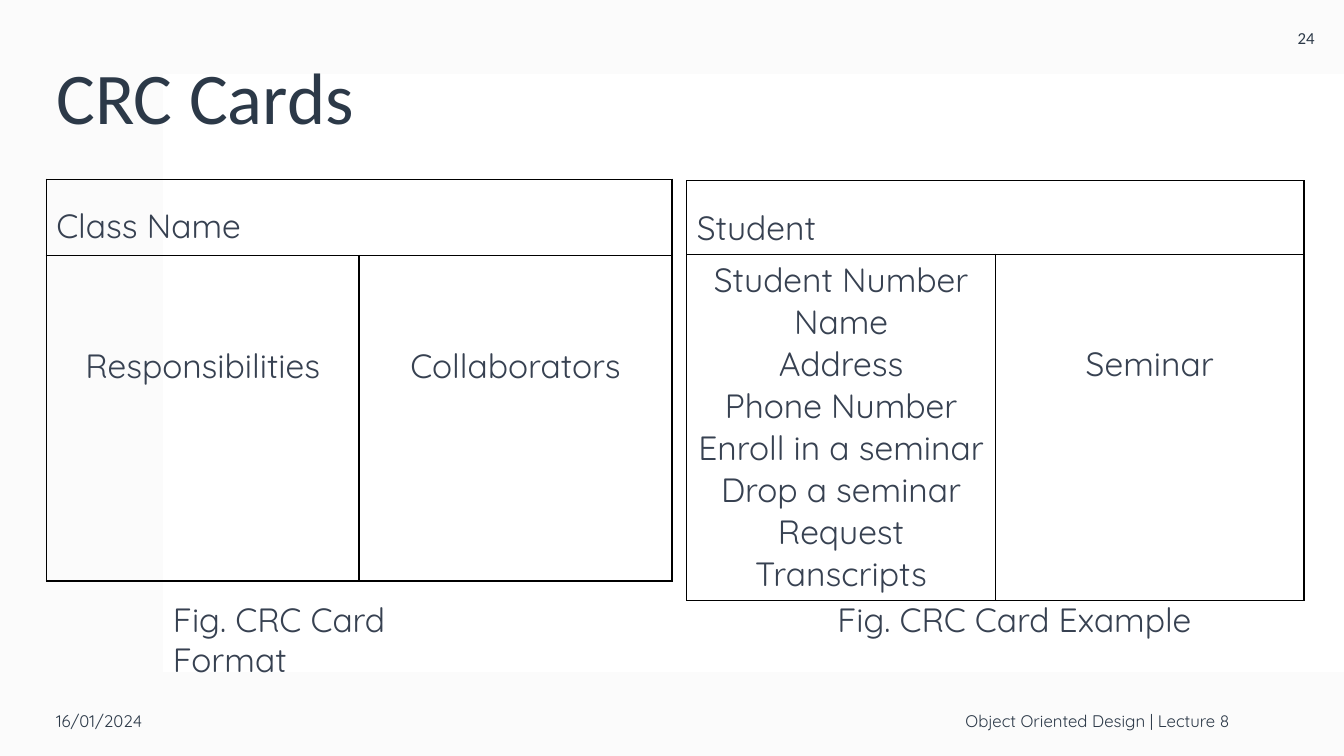
from dataclasses import dataclass

from lxml.etree import SubElement
from pptx import Presentation
from pptx.dml.color import RGBColor as RGB
from pptx.enum.shapes import MSO_SHAPE as SHAPE
from pptx.enum.text import MSO_ANCHOR as ANCHOR, MSO_AUTO_SIZE as AUTO, PP_ALIGN as ALIGN
from pptx.oxml import parse_xml
from pptx.oxml.ns import nsdecls, qn
from pptx.util import Pt


@dataclass(frozen=True)
class Theme:
    ink: RGB = RGB.from_string("2C3948")
    text: RGB = RGB.from_string("374151")
    frame: RGB = RGB.from_string("F4F4F4")
    paper: RGB = RGB.from_string("FFFFFF")
    border: str = "000000"
    heading_font: str = "Calibri"
    body_font: str = "Quicksand"
    title_size: int = 52
    body_size: int = 24
    small_size: int = 12


class SlideBuilder:
    def __init__(self, slide, theme):
        self.s = slide
        self.theme = theme

    def run(self, p, text, size, font, color):
        r = p.add_run()
        r.text = text
        r.font.size = Pt(size)
        r.font.name = font
        r.font.color.rgb = color

    def body_run(self, p, text):
        t = self.theme
        self.run(p, text, t.body_size, t.body_font, t.text)

    def panel(self, x, y, w, h, color, opacity=100):
        sp = self.s.shapes.add_shape(SHAPE.RECTANGLE, Pt(x), Pt(y), Pt(w), Pt(h))
        sp.shadow.inherit = False
        sp.line.fill.background()
        sp.fill.solid()
        sp.fill.fore_color.rgb = color
        if opacity < 100:
            rgb = sp.fill._xPr.find(".//" + qn("a:srgbClr"))
            SubElement(rgb, qn("a:alpha")).set("val", str(opacity * 1000))

    def title(self, text, x, y, w, h):
        t = self.theme
        sp = self.s.shapes.title
        self.s.shapes._spTree.append(sp._element)  # bring in front of the panels
        sp.left, sp.top, sp.width, sp.height = Pt(x), Pt(y), Pt(w), Pt(h)
        tf = sp.text_frame
        tf.auto_size = AUTO.NONE
        tf.vertical_anchor = ANCHOR.MIDDLE
        p = tf.paragraphs[0]
        p.alignment = ALIGN.LEFT
        p.line_spacing = 0.9
        self.run(p, text, t.title_size, t.heading_font, t.ink)

    def text_box(self, x, y, w, h, anchor, align):
        """Add an empty text box and return its first paragraph."""
        tf = self.s.shapes.add_textbox(Pt(x), Pt(y), Pt(w), Pt(h)).text_frame
        tf.word_wrap = True
        tf.vertical_anchor = anchor
        p = tf.paragraphs[0]
        p.alignment = align
        return p

    def small_text(self, text, x, y, w, h, align, font):
        p = self.text_box(x, y, w, h, ANCHOR.MIDDLE, align)
        self.run(p, text, self.theme.small_size, font, self.theme.ink)

    def caption(self, text, x, y, w):
        self.body_run(self.text_box(x, y, w, 36, ANCHOR.TOP, ALIGN.LEFT), text)

    def border(self, cell):
        """Clear the cell's fill and rule all four sides."""
        cell.fill.background()
        tc_pr = cell._tc.get_or_add_tcPr()
        for i, side in enumerate("LRTB"):
            tc_pr.insert(i, parse_xml(
                f'<a:ln{side} {nsdecls("a")} w="12700"><a:solidFill>'
                f'<a:srgbClr val="{self.theme.border}"/></a:solidFill></a:ln{side}>'))

    def crc_card(self, name, columns, x, y, w, row_heights):
        """Columns are (top margin, paragraphs); each paragraph is a list of lines."""
        frame = self.s.shapes.add_table(2, 2, Pt(x), Pt(y), Pt(w), Pt(sum(row_heights)))
        table = frame.table
        table.first_row = table.horz_banding = False
        for row, height in zip(table.rows, row_heights):
            row.height = Pt(height)
        for cell in table.iter_cells():
            self.border(cell)

        header = table.cell(0, 0)
        header.merge(table.cell(0, 1))
        p = header.text_frame.paragraphs[0]
        p.line_spacing = 1.5
        self.body_run(p, name)

        for col, (margin_top, paragraphs) in enumerate(columns):
            cell = table.cell(1, col)
            cell.margin_top = Pt(margin_top)
            tf = cell.text_frame
            for i, lines in enumerate(paragraphs):
                p = tf.add_paragraph() if i else tf.paragraphs[0]
                p.alignment = ALIGN.CENTER
                for j, line in enumerate(lines):
                    if j:
                        p.add_line_break()
                    self.body_run(p, line)


def main():
    theme = Theme()
    prs = Presentation()
    prs.slide_width, prs.slide_height = Pt(960), Pt(540)
    b = SlideBuilder(prs.slides.add_slide(prs.slide_layouts[5]), theme)

    b.panel(0, 0, 960, 540, theme.frame, opacity=35)
    b.panel(116.5, 53, 843.5, 427, theme.paper)
    b.title("CRC Cards", 33, 29, 852.5, 85.5)

    normal, lowered = 3.6, 63.6
    b.crc_card("Class Name",
               [(lowered, [["Responsibilities"]]), (lowered, [["Collaborators"]])],
               33, 128, 447, (54.5, 232.5))
    student_duties = [
        ["Student Number", "Name", "Address", "Phone Number", "Enroll in a seminar"],
        ["Drop a seminar"],
        ["Request Transcripts"],
    ]
    b.crc_card("Student", [(normal, student_duties), (lowered, [["Seminar"]])],
               490.5, 129, 441, (52.5, 247.2))

    b.caption("Fig. CRC Card Format", 116.5, 424, 230)
    b.caption("Fig. CRC Card Example", 591, 424, 275)

    b.small_text("24", 906, 0, 54, 54, ALIGN.CENTER, theme.heading_font)
    b.small_text("16/01/2024", 33, 489.5, 216, 50.5, ALIGN.LEFT, theme.body_font)
    b.small_text("Object Oriented Design | Lecture 8", 296.5, 489.5, 589, 50.5,
                 ALIGN.RIGHT, theme.body_font)

    prs.save("out.pptx")


if __name__ == "__main__":
    main()
